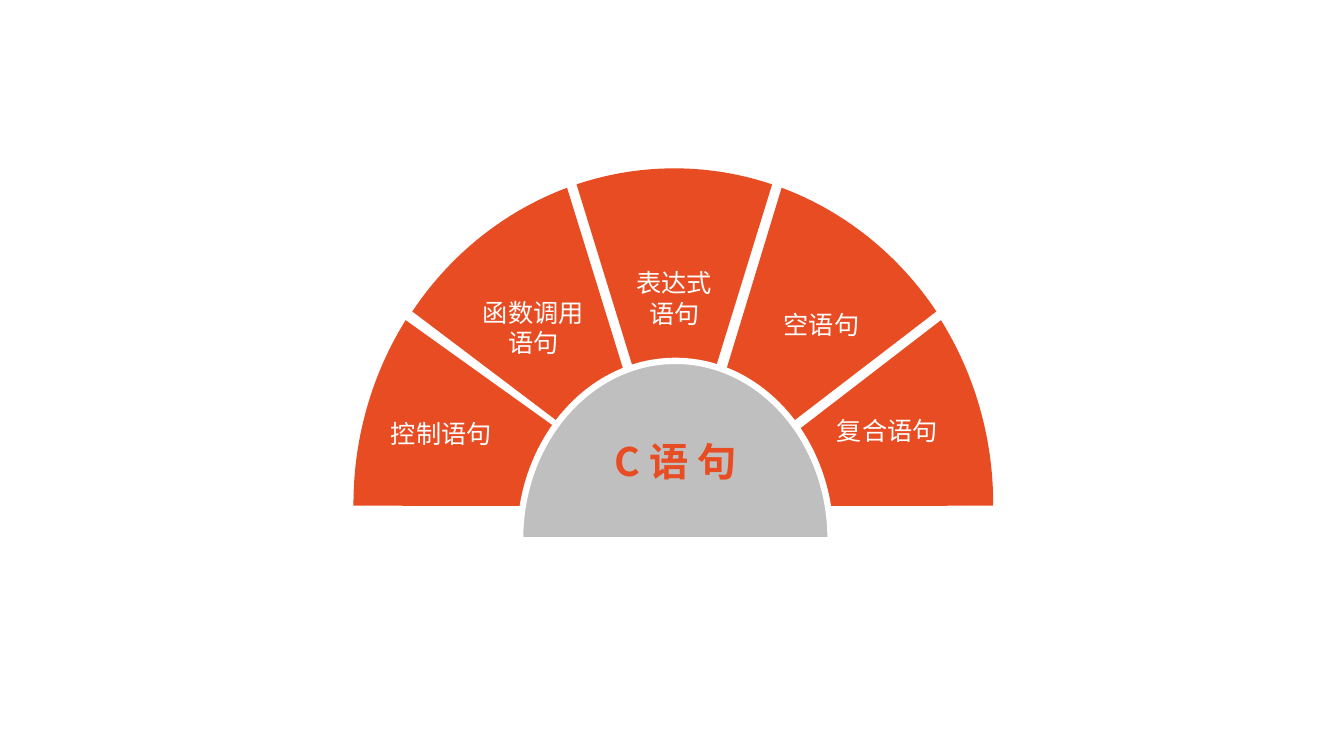
"""Build a slide that fans the kinds of C statement around a central dome."""
from dataclasses import dataclass
from math import cos, radians, sin, tan

from lxml import etree
from pptx import Presentation
from pptx.dml.color import RGBColor
from pptx.enum.text import MSO_ANCHOR, MSO_AUTO_SIZE, PP_ALIGN
from pptx.oxml.ns import qn
from pptx.util import Inches, Pt

CENTER, LEFT = PP_ALIGN.CENTER, PP_ALIGN.LEFT
MIDDLE = MSO_ANCHOR.MIDDLE
FIT_SHAPE = MSO_AUTO_SIZE.SHAPE_TO_FIT_TEXT

COLUMNS, ROWS = 40, 22.5
FAN = (20.07, 15, 9.52, 9.99)
FAN_ENDS = (20.04, 15, 9.52, 9.99)
DOME = (20.1, 16.05, 4.62, 5.31)


@dataclass(frozen=True)
class Theme:
    """Colours, font and type sizes."""
    accent: RGBColor = RGBColor.from_string("E84C22")
    dome: RGBColor = RGBColor.from_string("BFBFBF")
    light: RGBColor = RGBColor.from_string("FFFFFF")
    font: str = "Noto Sans CJK SC"
    label_size: Pt = Pt(18)
    title_size: Pt = Pt(28)
    outline: Pt = Pt(4.5)


class Canvas:
    """Draws styled elements on a slide measured in grid columns and rows."""

    def __init__(self, prs, theme):
        self.theme = theme
        self.s = prs.slides.add_slide(prs.slide_layouts[6])
        self.col = prs.slide_width / COLUMNS
        self.row = prs.slide_height / ROWS

    def point(self, x, y):
        return round(x * self.col), round(y * self.row)

    def arc(self, ellipse, start, end):
        cx, cy, rx, ry = ellipse

        def on_arc(angle, reach=0):
            a = radians(angle)
            return self.point(cx + rx * (cos(a) - reach * sin(a)),
                              cy - ry * (sin(a) + reach * cos(a)))

        stops = [start] + [q for q in (0, 90, 180) if start < q < end] + [end]
        points = [on_arc(start)]
        for a, b in zip(stops, stops[1:]):
            reach = 4 / 3 * tan(radians(b - a) / 4)
            points += [on_arc(a, reach), on_arc(b, -reach), on_arc(b)]
        return points

    def outline(self, points, color):
        builder = self.s.shapes.build_freeform(*points[0], scale=1.0)
        builder.add_line_segments(points[1:], close=True)
        sp = builder.convert_to_shape()
        lines = list(sp._element.iter(qn("a:lnTo")))
        for i in range(len(lines) % 3, len(lines), 3):
            curve = etree.Element(qn("a:cubicBezTo"))
            lines[i].addprevious(curve)
            for line in lines[i:i + 3]:
                curve.append(line[0])
                line.getparent().remove(line)
        sp.shadow.inherit = False
        sp.fill.solid()
        sp.fill.fore_color.rgb = color
        sp.line.fill.background()
        return sp

    def text(self, sp, text, size, color, bold=False, align=CENTER):
        tf = sp.text_frame
        tf.word_wrap = True
        tf.text = text
        for p in tf.paragraphs:
            p.alignment = align
            for r in p.runs:
                r.font.name = self.theme.font
                r.font.size = size
                r.font.bold = bold
                r.font.color.rgb = color
                ea = etree.SubElement(r.font._element, qn("a:ea"))
                ea.set("typeface", self.theme.font)

    def insets(self, sp, left, top, right, bottom):
        tf = sp.text_frame
        tf.vertical_anchor = MIDDLE
        tf.margin_left, tf.margin_top = self.point(left, top)
        tf.margin_right, tf.margin_bottom = self.point(right, bottom)

    def wedge(self, ellipse, tip, start, end, text="", insets=(0, 0, 0, 0)):
        points = [self.point(*tip)] + self.arc(ellipse, start, end)
        sp = self.outline(points, self.theme.accent)
        if text:
            self.insets(sp, *insets)
            self.text(sp, text, self.theme.label_size, self.theme.light)

    def dome(self, text):
        sp = self.outline(self.arc(DOME, -0.3, 180.3), self.theme.dome)
        sp.line.color.rgb = self.theme.light
        sp.line.width = self.theme.outline
        self.insets(sp, 0, 0.6, 0, 0)
        self.text(sp, text, self.theme.title_size, self.theme.accent, bold=True)

    def label(self, x, y, w, h, text):
        sp = self.s.shapes.add_textbox(*self.point(x, y), *self.point(w, h))
        self.text(sp, text, self.theme.label_size, self.theme.light, align=LEFT)
        sp.text_frame.auto_size = FIT_SHAPE


def main():
    prs = Presentation()
    prs.slide_width, prs.slide_height = Inches(40) // 3, Inches(7.5)
    canvas = Canvas(prs, Theme())
    canvas.wedge(FAN, (20.07, 14.94), 72.2, 107.8, "表达式\n语句", (0.3, 0.15, 0.3, 2.37))
    canvas.wedge(FAN, (20.4, 15), 35, 70.4, "空语句", (0.93, 0.15, 0.3, 1.41))
    canvas.wedge(FAN, (19.77, 14.94), 109.6, 145, "函数调用\n语句", (0.3, 0.15, 0.6, 1.17))
    canvas.wedge(FAN_ENDS, (20.82, 15.06), -0.3, 33.2, "复合语句", (2.73, 1.17, 0.3, 0.15))
    canvas.wedge(FAN_ENDS, (19.8, 15.06), 146.8, 180.3)
    canvas.dome("C 语 句")
    canvas.label(11.34, 12.3, 4.8, 1.68, "控制语句")
    prs.save("out.pptx")


if __name__ == "__main__":
    main()
